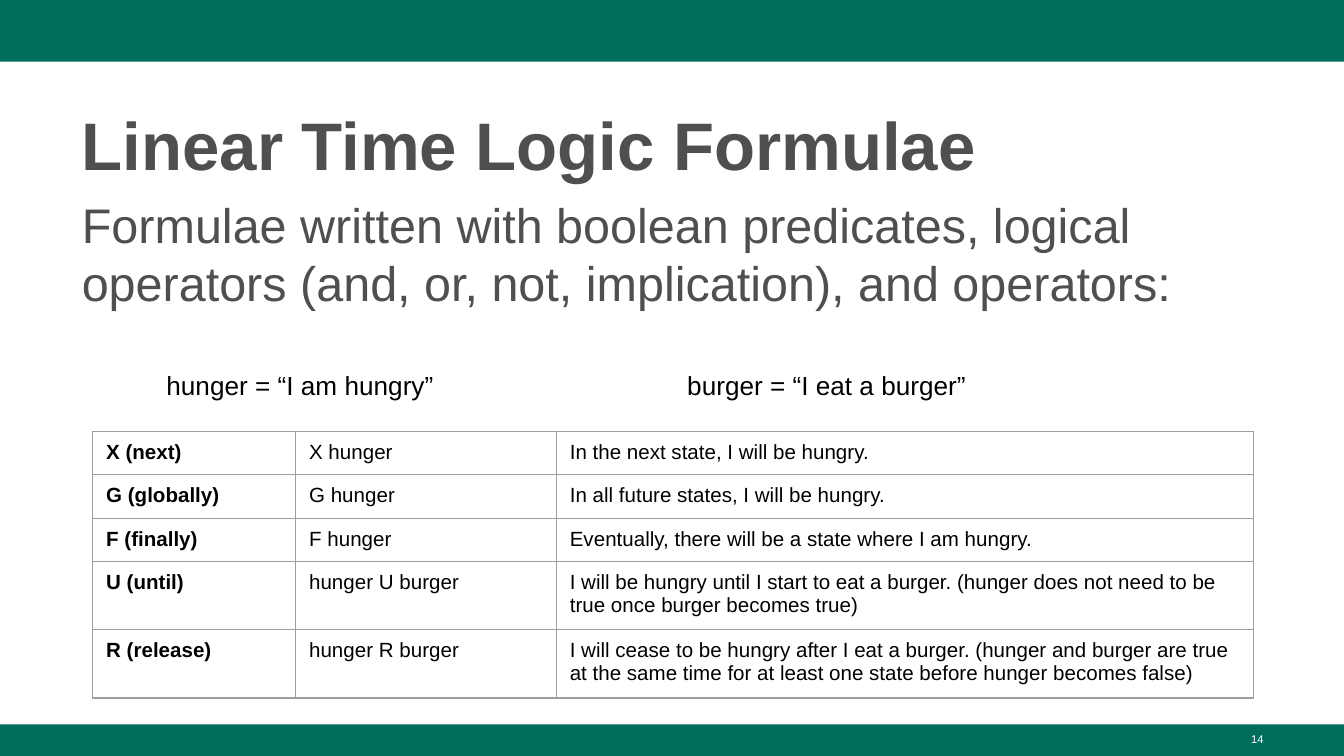
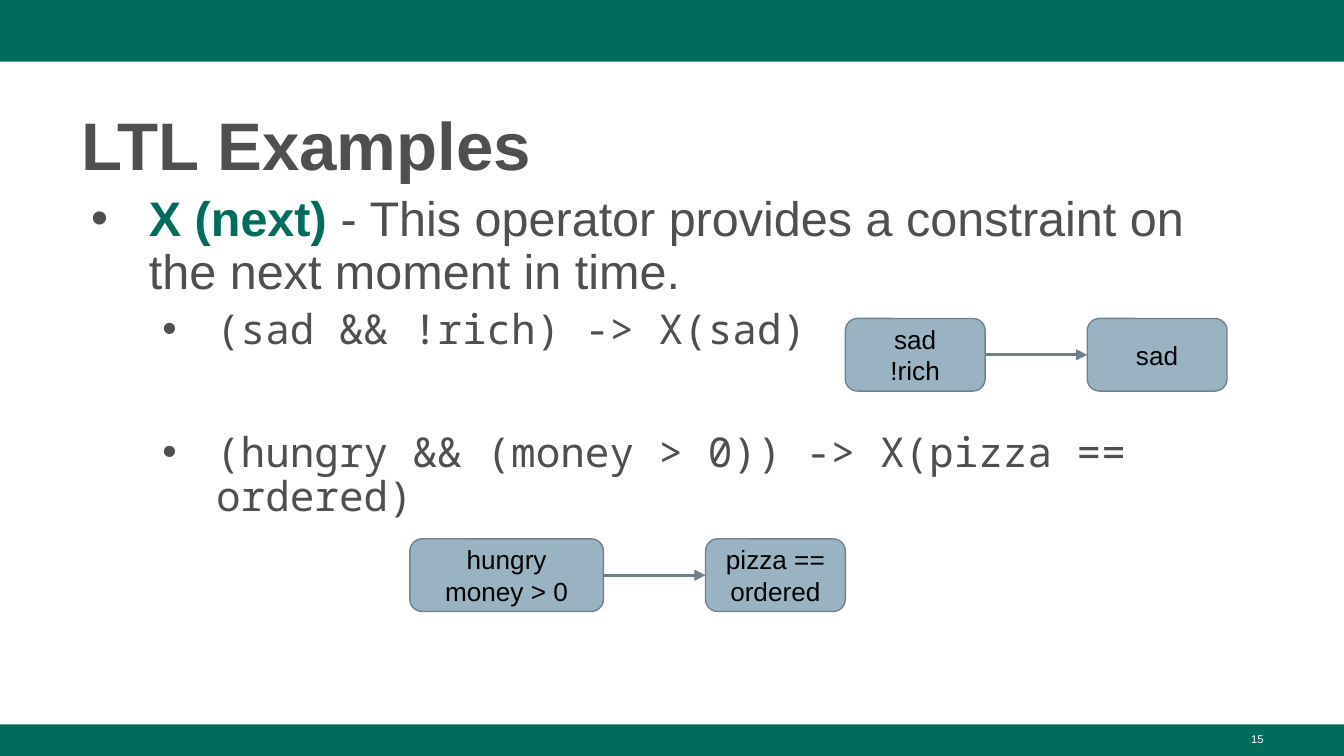
from dataclasses import dataclass

from lxml import etree
from pptx import Presentation
from pptx import util as u
from pptx.dml.color import RGBColor
from pptx.enum import shapes, text
from pptx.oxml import ns

PX = 4572


@dataclass(frozen=True)
class Theme:
    green: str = "006C5C"
    grey: str = "4F4F4F"
    black: str = "000000"
    white: str = "FFFFFF"
    grid: str = "9E9E9E"
    node: str = "99B3C2"
    edge: str = "6F828C"
    sans: str = "Arial"
    mono: str = "Noto Sans Mono"
    title: int = 36
    body: int = 26
    code: int = 22
    label: int = 14
    cell: int = 11
    number: int = 6


@dataclass(frozen=True)
class Frame:
    left: int
    top: int
    width: int
    height: int

    def emu(self) -> tuple[int, int, int, int]:
        return px(self.left), px(self.top), px(self.width), px(self.height)


@dataclass(frozen=True)
class Span:
    words: str
    size: int
    color: str
    bold: bool = False
    face: str = "Arial"


@dataclass(frozen=True)
class Bullet:
    spans: tuple[Span, ...]
    level: int
    margin: int
    hang: int
    before: int


@dataclass(frozen=True)
class Transition:
    source: str
    target: str
    left: int
    top: int
    source_width: int


THEME = Theme()
WIDTH, HEIGHT = 2000, 1125
BANDS = (Frame(0, 0, WIDTH, 92), Frame(0, 1078, WIDTH, 47))
TITLE = Frame(102, 134, 1798, 146)
BODY = Frame(102, 280, 1798, 762)
NUMBER = Frame(1434, 1080, 466, 46)
PREDICATES = Frame(228, 530, 1548, 86)
TABLE = Frame(138, 642, 1728, 310)
COLUMNS = (302, 388, 1038)
NODE_WIDTH, NODE_HEIGHT, NODE_GAP = 208, 108, 152

OPERATORS = (
    ("X (next)", "X hunger", "In the next state, I will be hungry."),
    ("G (globally)", "G hunger", "In all future states, I will be hungry."),
    ("F (finally)", "F hunger", "Eventually, there will be a state where I am hungry."),
    ("U (until)", "hunger U burger",
     "I will be hungry until I start to eat a burger. "
     "(hunger does not need to be true once burger becomes true)"),
    ("R (release)", "hunger R burger",
     "I will cease to be hungry after I eat a burger. (hunger and burger are true "
     "at the same time for at least one state before hunger becomes false)"),
)


def code(words: str) -> tuple[Span, ...]:
    return (Span(words, THEME.code, THEME.grey, face=THEME.mono),)


EXAMPLES = (
    Bullet((Span("X (next) ", THEME.body, THEME.green, True),
            Span("- This operator provides a constraint on the next moment in time.",
                 THEME.body, THEME.grey)), 0, 100, 86, 0),
    Bullet(code("(sad && !rich) -> X(sad)"), 1, 200, 80, 5),
    Bullet(code("(hungry && (money > 0)) -> X(pizza == ordered)"), 1, 200, 80, 42),
)
TRANSITIONS = (
    Transition("sad\n!rich", "sad", 1258, 474, NODE_WIDTH),
    Transition("hungry\nmoney > 0", "pizza == ordered", 610, 802, 288),
)


def px(length: int) -> int:
    return u.Emu(length * PX)


def rgb(color: str) -> RGBColor:
    return RGBColor.from_string(color)


def add_xml(parent, tag: str, **attributes: str):
    return etree.SubElement(parent, ns.qn(tag), attributes)


def style(font, size: int, color: str, bold: bool = False, face: str = THEME.sans) -> None:
    font.size = u.Pt(size)
    font.name = face
    font.bold = bold
    font.color.rgb = rgb(color)


def set_insets(target, across: int, down: int) -> None:
    target.margin_left = target.margin_right = px(across)
    target.margin_top = target.margin_bottom = px(down)


def add_box(page, frame: Frame, down: int = 10):
    box = page.shapes.add_textbox(*frame.emu())
    box.text_frame.word_wrap = True
    set_insets(box.text_frame, 20, down)
    return box.text_frame


def add_line(page, frame: Frame, words: str, size: int, color: str,
             bold: bool = False, down: int = 10):
    para = add_box(page, frame, down).paragraphs[0]
    para.text = words
    style(para.runs[0].font, size, color, bold)
    return para


def add_shape(page, kind, frame: Frame, fill: str):
    shape = page.shapes.add_shape(kind, *frame.emu())
    shape.shadow.inherit = False
    shape.fill.solid()
    shape.fill.fore_color.rgb = rgb(fill)
    return shape


def add_page(deck, title: str, number: int):
    page = deck.slides.add_slide(deck.slide_layouts[6])
    for band in BANDS:
        add_shape(page, shapes.MSO_SHAPE.RECTANGLE, band, THEME.green).line.fill.background()
    heading = add_line(page, TITLE, title, THEME.title, THEME.grey, True)
    heading.line_spacing = 1.08
    footer = add_line(page, NUMBER, str(number), THEME.number, THEME.white)
    footer.alignment = text.PP_ALIGN.RIGHT
    return page


def add_bullets(page, bullets: tuple[Bullet, ...]) -> None:
    frame = add_box(page, BODY)
    for index, bullet in enumerate(bullets):
        para = frame.paragraphs[0] if index == 0 else frame.add_paragraph()
        para.level = bullet.level
        para.line_spacing = 0.9
        para.space_before = u.Pt(bullet.before)
        properties = para._p.get_or_add_pPr()
        properties.set("marL", str(px(bullet.margin)))
        properties.set("indent", str(-px(bullet.hang)))
        add_xml(add_xml(properties, "a:buClr"), "a:srgbClr", val=THEME.grey)
        add_xml(properties, "a:buFont", typeface=THEME.sans)
        add_xml(properties, "a:buChar", char="•")
        for item in bullet.spans:
            span = para.add_run()
            span.text = item.words
            style(span.font, item.size, item.color, item.bold, item.face)


def add_borders(cell) -> None:
    properties = cell._tc.get_or_add_tcPr()
    for index, side in enumerate(("a:lnL", "a:lnR", "a:lnT", "a:lnB")):
        border = etree.Element(ns.qn(side), w=str(u.Pt(0.75)))
        add_xml(add_xml(border, "a:solidFill"), "a:srgbClr", val=THEME.grid)
        properties.insert(index, border)


def add_operator_table(page) -> None:
    table = page.shapes.add_table(len(OPERATORS), len(COLUMNS), *TABLE.emu()).table
    table.first_row = table.horz_banding = False
    for column, width in zip(table.columns, COLUMNS):
        column.width = px(width)
    for row, entries in enumerate(OPERATORS):
        table.rows[row].height = px(TABLE.height // len(OPERATORS))
        for column, words in enumerate(entries):
            cell = table.cell(row, column)
            cell.fill.background()
            set_insets(cell, 20, 14)
            add_borders(cell)
            para = cell.text_frame.paragraphs[0]
            para.text = words
            style(para.runs[0].font, THEME.cell, THEME.black, column == 0)


def add_node(page, frame: Frame, label: str):
    node = add_shape(page, shapes.MSO_SHAPE.ROUNDED_RECTANGLE, frame, THEME.node)
    node.line.color.rgb = rgb(THEME.edge)
    node.line.width = u.Pt(0.75)
    content = node.text_frame
    content.word_wrap = True
    content.vertical_anchor = text.MSO_ANCHOR.MIDDLE
    set_insets(content, 20, 20)
    content.text = label
    for para in content.paragraphs:
        para.alignment = text.PP_ALIGN.CENTER
        style(para.runs[0].font, THEME.label, THEME.black)
    return node


def add_transition(page, move: Transition) -> None:
    target_left = move.left + move.source_width + NODE_GAP
    source = add_node(page, Frame(move.left, move.top, move.source_width, NODE_HEIGHT),
                      move.source)
    target = add_node(page, Frame(target_left, move.top, NODE_WIDTH, NODE_HEIGHT), move.target)
    arrow = page.shapes.add_connector(shapes.MSO_CONNECTOR.STRAIGHT, 0, 0, 0, 0)
    arrow.begin_connect(source, 3)
    arrow.end_connect(target, 1)
    arrow.line.color.rgb = rgb(THEME.edge)
    arrow.line.width = u.Pt(1.5)
    add_xml(arrow.line._get_or_add_ln(), "a:tailEnd", type="triangle")
    add_xml(arrow._element.spPr, "a:effectLst")


def build_formulae(deck) -> None:
    page = add_page(deck, "Linear Time Logic Formulae", 14)
    add_line(page, BODY,
             "Formulae written with boolean predicates, logical operators "
             "(and, or, not, implication), and operators:", THEME.body, THEME.grey)
    add_operator_table(page)
    para = add_box(page, PREDICATES, 20).paragraphs[0]
    stops = add_xml(para._p.get_or_add_pPr(), "a:tabLst")
    add_xml(stops, "a:tab", pos=str(px(775)), algn="l")
    para.text = "hunger = “I am hungry”\tburger = “I eat a burger”"
    for span in para.runs:
        style(span.font, THEME.label, THEME.black)


def build_examples(deck) -> None:
    page = add_page(deck, "LTL Examples", 15)
    add_bullets(page, EXAMPLES)
    for move in TRANSITIONS:
        add_transition(page, move)


def main() -> None:
    deck = Presentation()
    deck.slide_width, deck.slide_height = px(WIDTH), px(HEIGHT)
    build_formulae(deck)
    build_examples(deck)
    deck.save("out.pptx")


if __name__ == "__main__":
    main()
